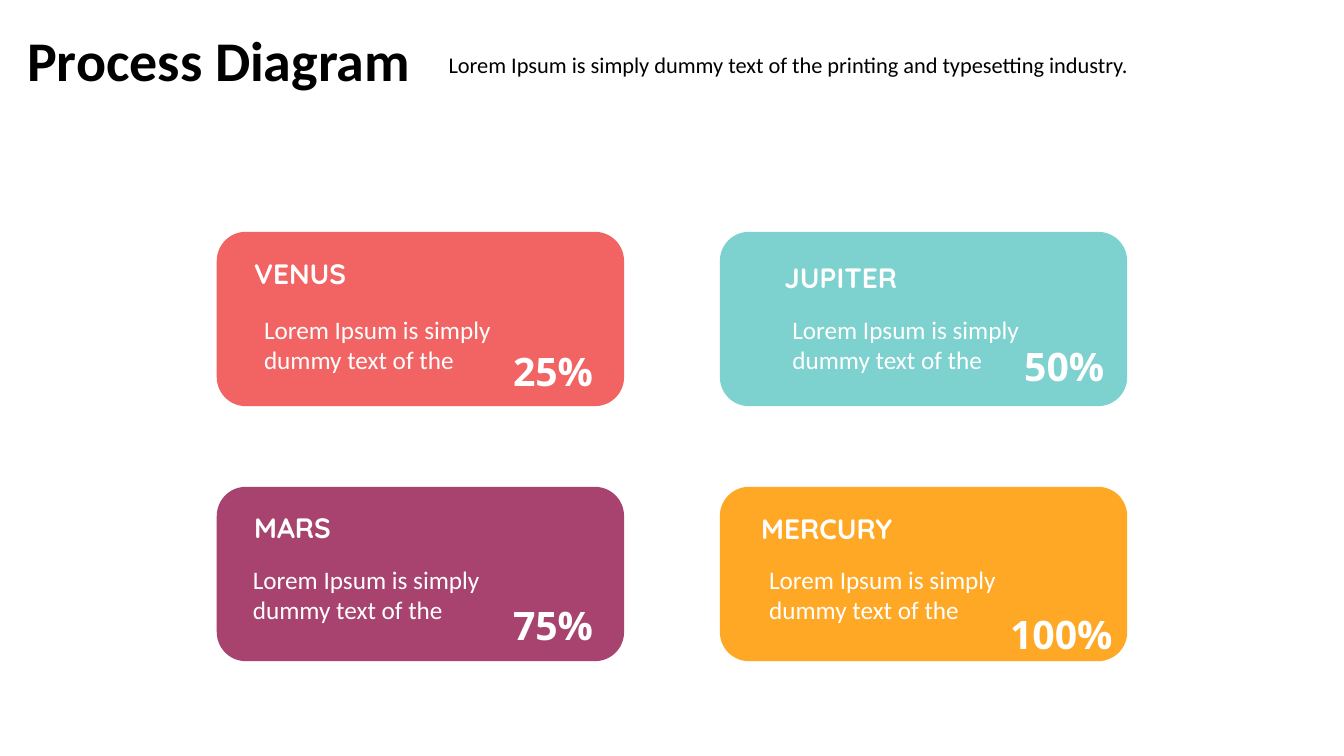
from pptx import Presentation
from pptx.dml.color import RGBColor
from pptx.enum.shapes import MSO_SHAPE
from pptx.enum.text import MSO_ANCHOR, MSO_AUTO_SIZE, PP_ALIGN
from pptx.util import Inches, Pt

BLACK = RGBColor(0x00, 0x00, 0x00)
WHITE = RGBColor(0xFF, 0xFF, 0xFF)
CORAL = RGBColor(0xF2, 0x63, 0x63)
PLUM = RGBColor(0xA8, 0x43, 0x6F)
TEAL = RGBColor(0x7D, 0xD1, 0xCE)
AMBER = RGBColor(0xFF, 0xA8, 0x26)

BODY_FONT, HEADING_FONT, FIGURE_FONT = "Calibri", "Quicksand", "Open Sans"
BLURB = "Lorem Ipsum is simply dummy text of the"
CARD_SIZE = (4.04, 1.73)
COLUMNS = (2.15, 7.14)
ROWS = (2.3, 4.83)

# column, row, colour, planet, heading box, blurb position, share, share box
CARDS = [
    (0, 0, CORAL, "VENUS", (2.25, 2.45, 2.39, 0.53), (2.52, 3.07),
     "25%", (4.99, 3.4, 1, 0.57)),
    (0, 1, PLUM, "MARS", (2.25, 4.97, 1.47, 0.53), (2.41, 5.55),
     "75%", (4.99, 5.92, 1, 0.57)),
    (1, 0, TEAL, "JUPITER", (7.51, 2.49, 2.19, 0.53), (7.76, 3.07),
     "50%", (10.06, 3.35, 1, 0.57)),
    (1, 1, AMBER, "MERCURY", (7.28, 5.02, 2.19, 0.44), (7.53, 5.55),
     "100%", (9.92, 6.01, 1.23, 0.57)),
]


class ProcessSlide:
    def __init__(self, prs):
        self.slide = prs.slides.add_slide(prs.slide_layouts[5])
        self.shapes = self.slide.shapes

    def set_text(self, frame, text, font, size, color, bold=False,
                 align=PP_ALIGN.LEFT, wrap=False):
        frame.text = text
        frame.word_wrap = wrap
        frame.auto_size = MSO_AUTO_SIZE.SHAPE_TO_FIT_TEXT
        frame.vertical_anchor = MSO_ANCHOR.TOP
        paragraph = frame.paragraphs[0]
        paragraph.alignment = align
        style = paragraph.runs[0].font
        style.name, style.size, style.bold = font, Pt(size), bold
        style.color.rgb = color

    def title(self, text, box):
        heading = self.shapes.title
        heading.left, heading.top, heading.width, heading.height = map(Inches, box)
        self.set_text(heading.text_frame, text, BODY_FONT, 40, BLACK, bold=True)

    def text(self, text, box, font, size, color, **options):
        frame = self.shapes.add_textbox(*map(Inches, box)).text_frame
        self.set_text(frame, text, font, size, color, **options)
        return frame

    def card_heading(self, planet, box):
        frame = self.text(planet, box, HEADING_FONT, 20, WHITE, bold=True, wrap=True)
        frame.auto_size = MSO_AUTO_SIZE.NONE
        frame.vertical_anchor = MSO_ANCHOR.MIDDLE
        frame.margin_left = frame.margin_right = Inches(0.27)
        frame.margin_top = frame.margin_bottom = Inches(0.27)

    def card(self, column, row, color):
        panel = self.shapes.add_shape(
            MSO_SHAPE.ROUNDED_RECTANGLE,
            *map(Inches, (COLUMNS[column], ROWS[row], *CARD_SIZE)))
        panel.shadow.inherit = False
        panel.fill.solid()
        panel.fill.fore_color.rgb = color
        panel.line.fill.background()


def main():
    prs = Presentation()
    prs.slide_width, prs.slide_height = Inches(13.33), Inches(7.5)
    page = ProcessSlide(prs)
    page.title("Process Diagram", (0.17, 0.2, 4.04, 0.77))
    page.text("Lorem Ipsum is simply dummy text of the printing and typesetting industry.",
              (4.22, 0.46, 7.2, 0.37), BODY_FONT, 16, BLACK, align=PP_ALIGN.CENTER)
    for column, row, color, planet, heading_box, blurb_at, share, share_box in CARDS:
        page.card(column, row, color)
        page.card_heading(planet, heading_box)
        page.text(BLURB, (*blurb_at, 2.62, 0.71), BODY_FONT, 18, WHITE, wrap=True)
        page.text(share, share_box, FIGURE_FONT, 28, WHITE, bold=True)
    prs.save("out.pptx")


if __name__ == "__main__":
    main()
